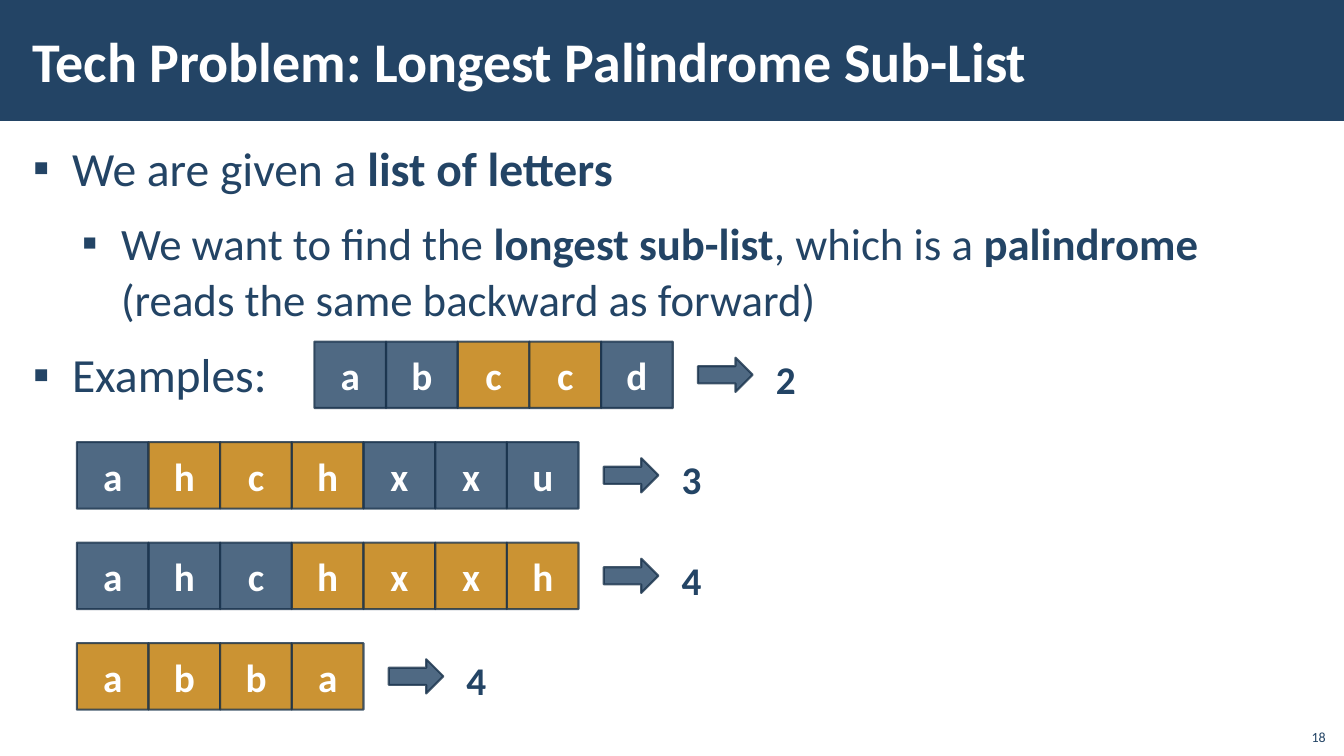
import lxml.etree
import pptx
import pptx.dml.color
import pptx.enum.shapes
import pptx.enum.text
import pptx.oxml.ns
import pptx.util

Pt = pptx.util.Pt
qn = pptx.oxml.ns.qn
SHAPE = pptx.enum.shapes.MSO_SHAPE
ANCHOR = pptx.enum.text.MSO_ANCHOR
ALIGN = pptx.enum.text.PP_ALIGN

NAVY = pptx.dml.color.RGBColor(0x23, 0x44, 0x65)
DARK_NAVY = pptx.dml.color.RGBColor(0x1A, 0x33, 0x4C)
OCHRE = pptx.dml.color.RGBColor(0xBF, 0x78, 0x00)
WHITE = pptx.dml.color.RGBColor(0xFF, 0xFF, 0xFF)

FONT = "Calibri"
OPACITY = 80
CELL_WIDTH, CELL_HEIGHT = 51.2, 47.5
FIRST_ROW_TOP, ROW_STEP = 244, 71.8

# Bullet level, size and (text, bold) runs
BULLETS = [
    (0, 34, [("We are given a ", False), ("list of letters", True)]),
    (1, 32, [("We want to find the ", False), ("longest sub-list", True),
             (", which is a ", False), ("palindrome", True),
             (" (reads the same backward as forward)", False)]),
    (0, 34, [("Examples:", False)]),
]

# Row left, letters, and the start and end of the longest palindrome
EXAMPLES = [
    (224.6, "abccd", 2, 4),
    (54.9, "ahchxxu", 1, 4),
    (54.9, "ahchxxh", 3, 7),
    (54.9, "abba", 0, 4),
]


def add_run(paragraph, text, size, color, bold=False):
    run = paragraph.add_run()
    run.text = text
    run.font.name = FONT
    run.font.size = Pt(size)
    run.font.bold = bold
    run.font.color.rgb = color


def add_text_box(shapes, box, insets, anchor=ANCHOR.TOP):
    """Add an empty text box; insets are (horizontal, vertical)."""
    frame = shapes.add_textbox(*map(Pt, box)).text_frame
    frame.word_wrap = True
    frame.vertical_anchor = anchor
    frame.margin_left = frame.margin_right = Pt(insets[0])
    frame.margin_top = frame.margin_bottom = Pt(insets[1])
    return frame


def make_translucent(shape):
    for color in shape.element.spPr.iter(qn("a:srgbClr")):
        lxml.etree.SubElement(color, qn("a:alpha"), val=str(OPACITY * 1000))


def add_block(shapes, preset, box, fill):
    """Add a translucent, outlined shape."""
    block = shapes.add_shape(preset, *map(Pt, box))
    block.shadow.inherit = False
    block.fill.solid()
    block.fill.fore_color.rgb = fill
    block.line.color.rgb = DARK_NAVY
    block.line.width = Pt(1.5)
    make_translucent(block)
    return block


def add_cell(shapes, left, top, letter, fill):
    cell = add_block(shapes, SHAPE.RECTANGLE,
                     (left, top, CELL_WIDTH, CELL_HEIGHT), fill)
    cell.text_frame.vertical_anchor = ANCHOR.MIDDLE
    paragraph = cell.text_frame.paragraphs[0]
    paragraph.alignment = ALIGN.CENTER
    add_run(paragraph, letter, 28, WHITE, bold=True)


def add_example(slide, left, top, letters, start, end):
    """Add a row of letters, an arrow and the palindrome's length."""
    shapes = slide.shapes.add_group_shape().shapes
    for index, letter in enumerate(letters):
        fill = OCHRE if start <= index < end else NAVY
        add_cell(shapes, left + index * CELL_WIDTH, top, letter, fill)

    arrow_left = left + len(letters) * CELL_WIDTH + 18
    add_block(shapes, SHAPE.RIGHT_ARROW, (arrow_left, top + 11.5, 39, 24.5), NAVY)
    answer = add_text_box(shapes, (arrow_left + 44, top - 2.4, 37.4, 52.5),
                          (11.5, 8.6))
    answer.word_wrap = False
    answer.paragraphs[0].line_spacing = 1.1
    add_run(answer.paragraphs[0], str(end - start), 28, NAVY, bold=True)


def add_title(slide):
    band = slide.shapes.add_shape(SHAPE.RECTANGLE, 0, 0, Pt(960), Pt(86.4))
    band.shadow.inherit = False
    band.fill.solid()
    band.fill.fore_color.rgb = NAVY
    band.line.fill.background()
    title = add_text_box(slide.shapes, (15, 8, 765, 70), (8.5, 2.8), ANCHOR.MIDDLE)
    add_run(title.paragraphs[0], "Tech Problem: Longest Palindrome Sub-List",
            40, WHITE, bold=True)


def set_bullet(paragraph, level):
    paragraph.level = level
    properties = paragraph._p.get_or_add_pPr()
    properties.set("marL", str(Pt(28 + level * 35)))
    properties.set("indent", str(Pt(-28)))
    lxml.etree.SubElement(properties, qn("a:buFont"), typeface="Arial")
    lxml.etree.SubElement(properties, qn("a:buChar"), char="▪")


def add_bullets(slide):
    body = add_text_box(slide.shapes, (15, 94.3, 930, 435.6), (8.5, 2.8))
    for index, (level, size, runs) in enumerate(BULLETS):
        paragraph = body.add_paragraph() if index else body.paragraphs[0]
        paragraph.line_spacing = 1.05
        paragraph.space_before = paragraph.space_after = Pt(6)
        set_bullet(paragraph, level)
        for text, bold in runs:
            add_run(paragraph, text, size, NAVY, bold)


def add_slide_number(slide):
    number = add_text_box(slide.shapes, (925, 512.6, 29, 23), (7.2, 3.6),
                          ANCHOR.BOTTOM)
    number.paragraphs[0].alignment = ALIGN.RIGHT
    add_run(number.paragraphs[0], "18", 10, NAVY)


def main():
    presentation = pptx.Presentation()
    presentation.slide_width = Pt(960)
    presentation.slide_height = Pt(540)
    slide = presentation.slides.add_slide(presentation.slide_layouts[6])
    add_title(slide)
    add_slide_number(slide)
    add_bullets(slide)
    for row, (left, letters, start, end) in enumerate(EXAMPLES):
        add_example(slide, left, FIRST_ROW_TOP + row * ROW_STEP, letters, start, end)
    presentation.save("out.pptx")


if __name__ == "__main__":
    main()
